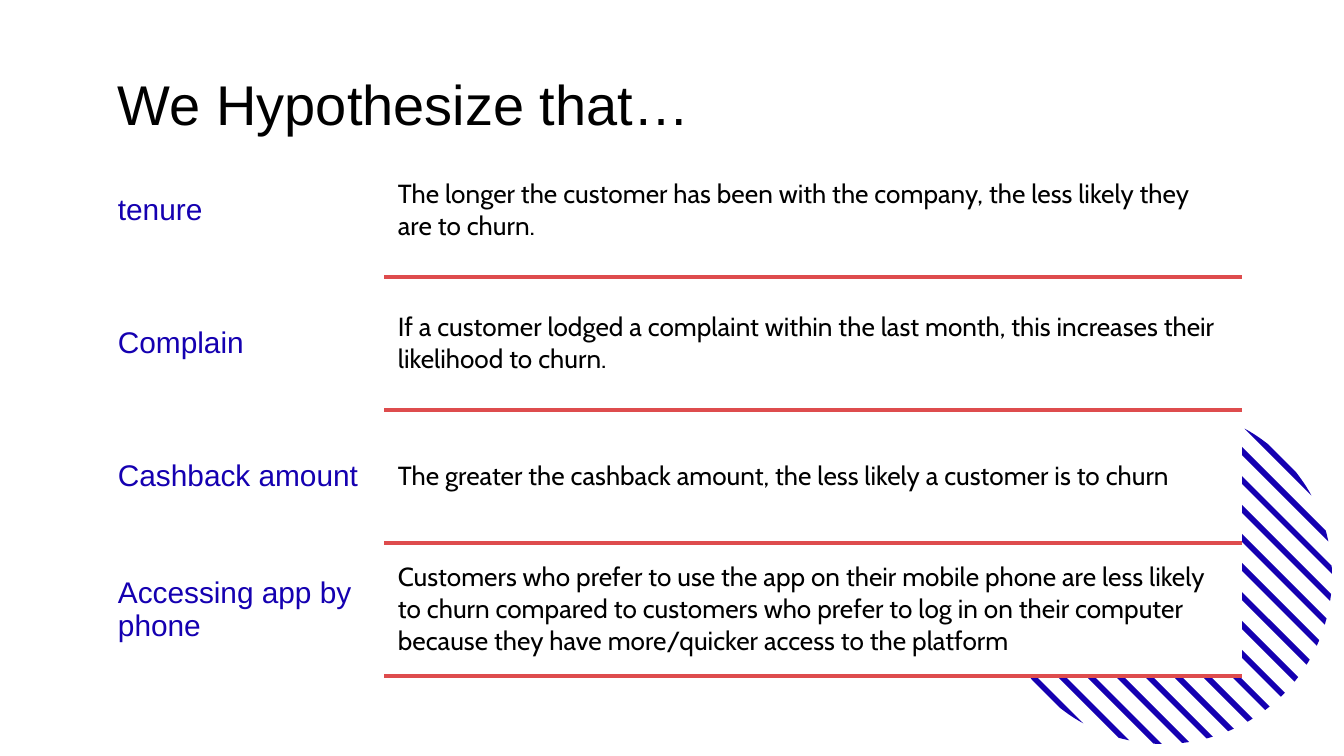
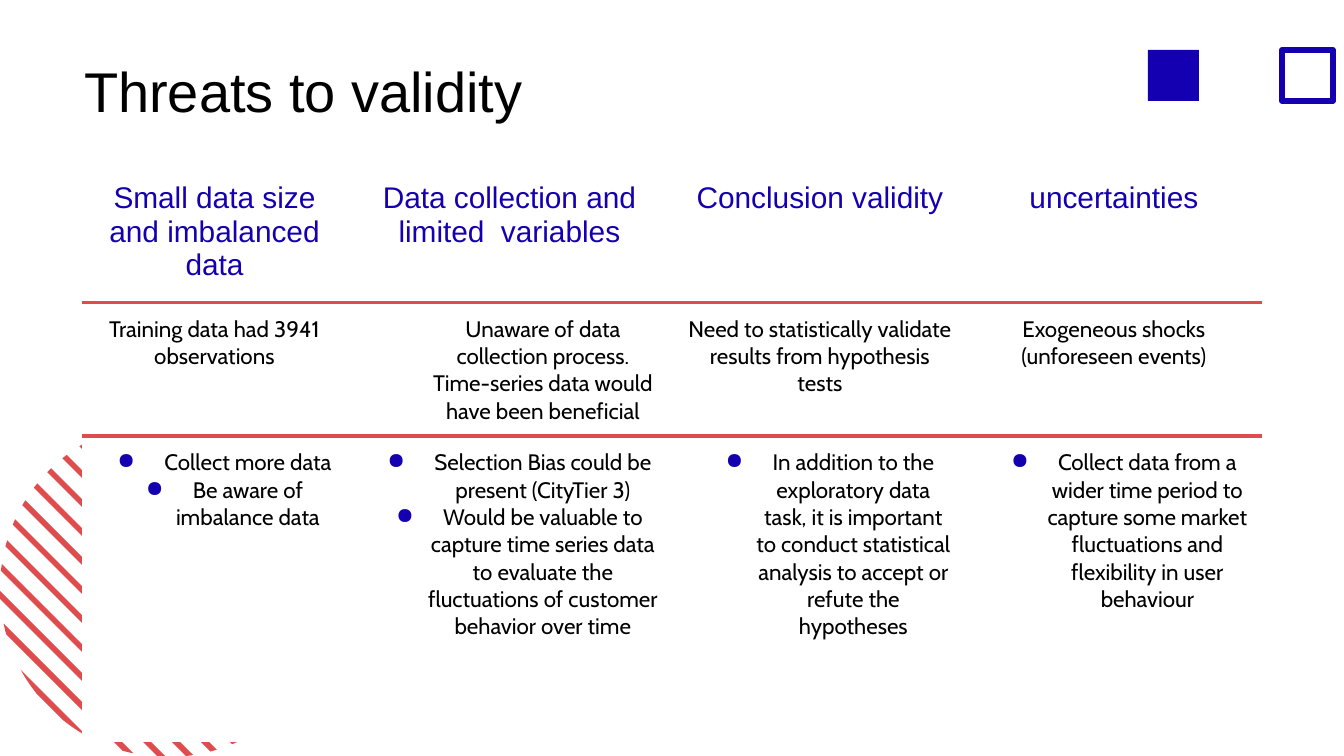
import math

import lxml.etree
import pptx
import pptx.dml.color
import pptx.enum.shapes
import pptx.enum.text
import pptx.oxml.ns
import pptx.util

EMU = 9144000 / 1344  # one px; a slide is 1344 px wide
BLUE, RED, BLACK, WHITE = "1500B1", "DE4C4D", "000000", "FFFFFF"
HEAD_FONT, BODY_FONT = "Arial", "Cabin"
RADIUS, PITCH, HALF_STRIPE = 168, 29, 4
INSET = 13

SLIDES = [
    {
        "title": "We Hypothesize that…",
        "title_at": (105, 51),
        "disc": (1164, 576, BLUE),
        "table_at": (105, 144),
        "cols": [280, 856],
        "rows": [133] * 4,
        "labels_in": "column",
        "rules": [1, 2, 3, 4],
        "body_size": 14,
        "anchor": pptx.enum.text.MSO_ANCHOR.MIDDLE,
        "align": pptx.enum.text.PP_ALIGN.LEFT,
        "indented": [],
        "bulleted_row": None,
        "cells": [
            ["tenure",
             "The longer the customer has been with the company, the less likely they are to churn."],
            ["Complain",
             "If a customer lodged a complaint within the last month, "
             "this increases their likelihood to churn."],
            ["Cashback amount",
             "The greater the cashback amount, the less likely a customer is to churn"],
            ["Accessing app by phone",
             "Customers who prefer to use the app on their mobile phone are less likely to churn "
             "compared to customers who prefer to log in on their computer because they have "
             "more/quicker access to the platform"],
        ],
    },
    {
        "title": "Threats to validity",
        "title_at": (71, 38),
        "disc": (168, 589, RED),
        "table_at": (83, 169),
        "cols": [263, 327, 294, 294],
        "rows": [91, 99, 305],
        "labels_in": "row",
        "rules": [1, 2],
        "body_size": 12,
        "anchor": pptx.enum.text.MSO_ANCHOR.TOP,
        "align": pptx.enum.text.PP_ALIGN.CENTER,
        "indented": [(1, 1)],
        "bulleted_row": 2,
        "cells": [
            ["Small data size and imbalanced data", "Data collection and limited  variables",
             "Conclusion validity", "uncertainties"],
            ["Training data had 3941 observations",
             "Unaware of data collection process. Time-series data would have been beneficial",
             "Need to statistically validate results from hypothesis tests",
             "Exogeneous shocks (unforeseen events)"],
            ["Collect more data\nBe aware of imbalance data",
             "Selection Bias could be present (CityTier 3)\n"
             "Would be valuable to capture time series data to evaluate the fluctuations "
             "of customer behavior over time",
             "In addition to the exploratory data task, it is important to conduct statistical "
             "analysis to accept or refute the hypotheses",
             "Collect data from a wider time period to capture some market fluctuations "
             "and flexibility in user behaviour"],
        ],
    },
]


def px(n):
    return pptx.util.Emu(round(n * EMU))


def rgb(colour):
    return pptx.dml.color.RGBColor.from_string(colour)


prs = pptx.Presentation()
prs.slide_width, prs.slide_height = px(1344), px(756)

for spec_ in SLIDES:
    s = prs.slides.add_slide(prs.slide_layouts[6])
    s.background.fill.solid()
    s.background.fill.fore_color.rgb = rgb(WHITE)

    # Striped disc: diagonal bands y = x + c, cut off by the circle
    cx, cy, colour = spec_["disc"]
    disc = s.shapes.add_group_shape()
    for k in range(-8, 9):
        upper, lower = [], []
        for c in range(PITCH * k - HALF_STRIPE, PITCH * k + HALF_STRIPE + 1, 2):
            root = math.sqrt(2 * RADIUS ** 2 - c ** 2)
            for side, sign in ((upper, -1), (lower, 1)):
                x = (sign * root - c) / 2
                side.append((px(cx + x), px(cy + x + c)))
        outline = upper + lower[::-1]
        builder = disc.shapes.build_freeform(*outline[0])
        builder.add_line_segments(outline[1:], close=True)
        sp = builder.convert_to_shape()
        sp.shadow.inherit = False
        sp.fill.solid()
        sp.fill.fore_color.rgb = rgb(colour)
        sp.line.fill.background()

    # Title
    left, top = spec_["title_at"]
    tf = s.shapes.add_textbox(px(left), px(top), px(1136), px(85)).text_frame
    tf.word_wrap = True
    tf.margin_left = tf.margin_right = tf.margin_bottom = px(INSET)
    tf.margin_top = px(INSET + 6)
    tf.text = spec_["title"]
    font = tf.paragraphs[0].runs[0].font
    font.name, font.size = HEAD_FONT, pptx.util.Pt(30)
    font.color.rgb = rgb(BLACK)

    # Table
    cols, rows = spec_["cols"], spec_["rows"]
    left, top = spec_["table_at"]
    table = s.shapes.add_table(len(rows), len(cols), px(left), px(top),
                               px(sum(cols)), px(sum(rows))).table
    table.first_row = table.horz_banding = False
    for col, width in zip(table.columns, cols):
        col.width = px(width)
    for row, height in zip(table.rows, rows):
        row.height = px(height)

    labels_in_column = spec_["labels_in"] == "column"
    for i, texts in enumerate(spec_["cells"]):
        bulleted = i == spec_["bulleted_row"]
        for j, text in enumerate(texts):
            cell = table.cell(i, j)
            is_label = (j if labels_in_column else i) == 0
            tcPr = cell._tc.get_or_add_tcPr()
            for tag, line_no in (("a:lnT", i), ("a:lnB", i + 1)):
                if line_no in spec_["rules"] and not (labels_in_column and is_label):
                    ln = lxml.etree.SubElement(tcPr, pptx.oxml.ns.qn(tag),
                                               w=str(pptx.util.Pt(2.25)))
                    fill = lxml.etree.SubElement(ln, pptx.oxml.ns.qn("a:solidFill"))
                    lxml.etree.SubElement(fill, pptx.oxml.ns.qn("a:srgbClr"), val=RED)
            cell.fill.solid()
            cell.fill.fore_color.rgb = rgb(WHITE)
            cell.margin_left = cell.margin_right = px(INSET)
            cell.margin_top = cell.margin_bottom = px(INSET)
            cell.vertical_anchor = spec_["anchor"]
            cell.text_frame.text = text
            for p in cell.text_frame.paragraphs:
                p.alignment = spec_["align"]
                pPr = p._p.get_or_add_pPr()
                if bulleted or (i, j) in spec_["indented"]:
                    pPr.set("marL", str(px(67)))
                    pPr.set("indent", str(px(-47 if bulleted else 0)))
                if bulleted:
                    clr = lxml.etree.SubElement(pPr, pptx.oxml.ns.qn("a:buClr"))
                    lxml.etree.SubElement(clr, pptx.oxml.ns.qn("a:srgbClr"), val=BLUE)
                    lxml.etree.SubElement(pPr, pptx.oxml.ns.qn("a:buChar"), char="●")
                font = p.runs[0].font
                font.name = HEAD_FONT if is_label else BODY_FONT
                font.size = pptx.util.Pt(16 if is_label else spec_["body_size"])
                font.color.rgb = rgb(BLUE if is_label else BLACK)

# Solid and outlined squares at the top right of the last slide
for left, solid in ((1148, True), (1282, False)):
    sp = s.shapes.add_shape(pptx.enum.shapes.MSO_SHAPE.RECTANGLE,
                            px(left), px(50), px(51), px(51))
    sp.shadow.inherit = False
    if solid:
        sp.fill.solid()
        sp.fill.fore_color.rgb = rgb(BLUE)
        sp.line.fill.background()
    else:
        sp.fill.background()
        sp.line.color.rgb = rgb(BLUE)
        sp.line.width = pptx.util.Pt(3)

prs.save("out.pptx")
